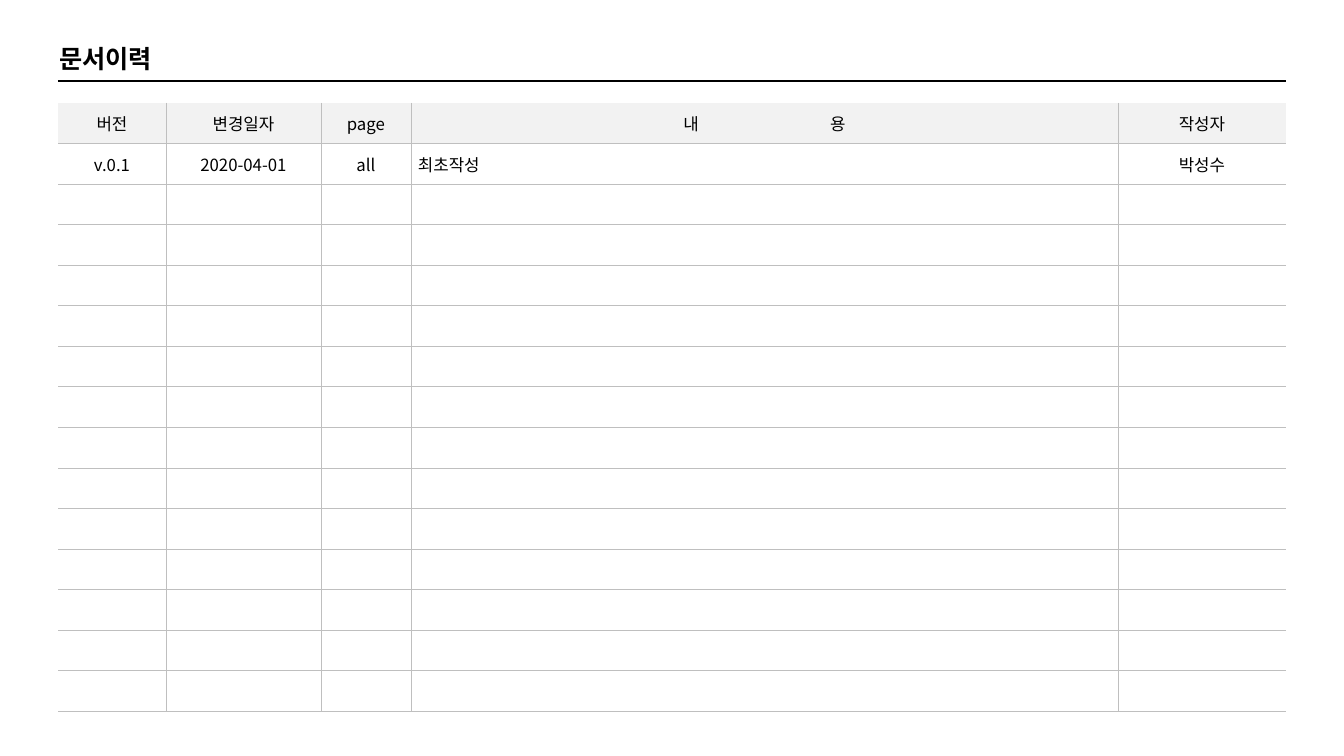
from lxml import etree
from pptx import Presentation
from pptx.dml.color import RGBColor
from pptx.enum.shapes import MSO_CONNECTOR
from pptx.enum.text import MSO_ANCHOR, MSO_AUTO_SIZE, PP_ALIGN
from pptx.oxml.ns import qn
from pptx.util import Emu, Pt

LEFT, CENTER = PP_ALIGN.LEFT, PP_ALIGN.CENTER
MIDDLE = MSO_ANCHOR.MIDDLE
STRAIGHT = MSO_CONNECTOR.STRAIGHT
GROW = MSO_AUTO_SIZE.SHAPE_TO_FIT_TEXT

BLACK = RGBColor(0x00, 0x00, 0x00)
WHITE = RGBColor(0xFF, 0xFF, 0xFF)
HEADER_GRAY = RGBColor(0xF2, 0xF2, 0xF2)
GRID_GRAY = RGBColor(0xBF, 0xBF, 0xBF)

FONT = "Noto Sans CJK KR"
PX_PER_INCH = 100.8
NO_STYLE = "{2D5ABB26-0587-4C30-8999-92F81FD0307C}"
TITLE_ONLY = 5

COLUMN_WIDTHS = [108, 155, 90, 707, 168]
ROW_COUNT = 15
CONTENT_COLUMN = 3
ENTRIES = [
    ["버전", "변경일자", "page", "내 용", "작성자"],
    ["v.0.1", "2020-04-01", "all", "최초작성", "박성수"],
]
HEADING_GAP = Pt(91)


def px(length):
    return Emu(round(length * 914400 / PX_PER_INCH))


def style_para(para, size, align, bold=False):
    para.alignment = align
    font = para.font
    font.size, font.bold, font.name = Pt(size), bold, FONT
    font.color.rgb = BLACK
    properties = para._p.pPr.find(qn("a:defRPr"))
    etree.SubElement(properties, qn("a:ea"), typeface=FONT)


def add_heading(page, left, top, width, height):
    """Place the page title with its rule along the bottom of the box."""
    title = page.shapes.title
    title.left, title.top = px(left - 9), px(top)
    title.width, title.height = px(142), px(40)
    frame = title.text_frame
    frame.text = "문서이력"
    frame.vertical_anchor = MIDDLE
    frame.auto_size = GROW
    style_para(frame.paragraphs[0], 18, LEFT, bold=True)

    bottom = px(top + height)
    rule = page.shapes.add_connector(STRAIGHT, px(left), bottom, px(left + width), bottom)
    rule.line.color.rgb = BLACK
    rule.line.width = Pt(1)
    etree.SubElement(rule._element.spPr, qn("a:effectLst"))


def set_borders(cell, sides):
    """Draw the named sides in grid gray and leave the others open."""
    properties = cell._tc.get_or_add_tcPr()
    for index, side in enumerate("LRTB"):
        line = etree.Element(qn(f"a:ln{side}"), w=str(Pt(0.25)))
        if side in sides:
            fill = etree.SubElement(line, qn("a:solidFill"))
            etree.SubElement(fill, qn("a:srgbClr"), val=str(GRID_GRAY))
        else:
            etree.SubElement(line, qn("a:noFill"))
        properties.insert(index, line)


def write_spread(para, text, gap):
    """Write two words whose single space is widened by the gap."""
    first, last = text.split()
    for part in (first, " ", last):
        span = para.add_run()
        span.text = part
        if part == " ":
            span.font._element.set("spc", str(int(gap.pt * 100)))


def fill_cell(cell, row, column, text):
    cell.margin_left = cell.margin_right = px(7)
    cell.margin_top = cell.margin_bottom = px(4)
    cell.vertical_anchor = MIDDLE
    cell.fill.solid()
    cell.fill.fore_color.rgb = WHITE if row else HEADER_GRAY

    para = cell.text_frame.paragraphs[0]
    style_para(para, 12, LEFT if row and column == CONTENT_COLUMN else CENTER)
    if " " in text:
        write_spread(para, text, HEADING_GAP)
    elif text:
        para.add_run().text = text
    else:
        etree.SubElement(para._p, qn("a:endParaRPr"), sz="1200")

    sides = "B"
    if row:
        sides += "T"
    if column:
        sides += "L"
    if column < len(COLUMN_WIDTHS) - 1:
        sides += "R"
    set_borders(cell, sides)


def add_history_table(page, left, top, width, height):
    frame = page.shapes.add_table(
        ROW_COUNT, len(COLUMN_WIDTHS), px(left), px(top), px(width), px(height))
    table = frame.table
    table.first_row = table.horz_banding = False
    table._tbl.tblPr.find(qn("a:tableStyleId")).text = NO_STYLE
    for column, column_width in zip(table.columns, COLUMN_WIDTHS):
        column.width = px(column_width)
    for row in range(ROW_COUNT):
        for column in range(len(COLUMN_WIDTHS)):
            text = ENTRIES[row][column] if row < len(ENTRIES) else ""
            fill_cell(table.cell(row, column), row, column, text)


def main():
    deck = Presentation()
    deck.slide_width, deck.slide_height = px(1344), px(756)
    page = deck.slides.add_slide(deck.slide_layouts[TITLE_ONLY])
    width = sum(COLUMN_WIDTHS)
    add_history_table(page, 58, 103, width, 608)
    add_heading(page, 58, 38, width, 43)
    deck.save("out.pptx")


if __name__ == "__main__":
    main()
